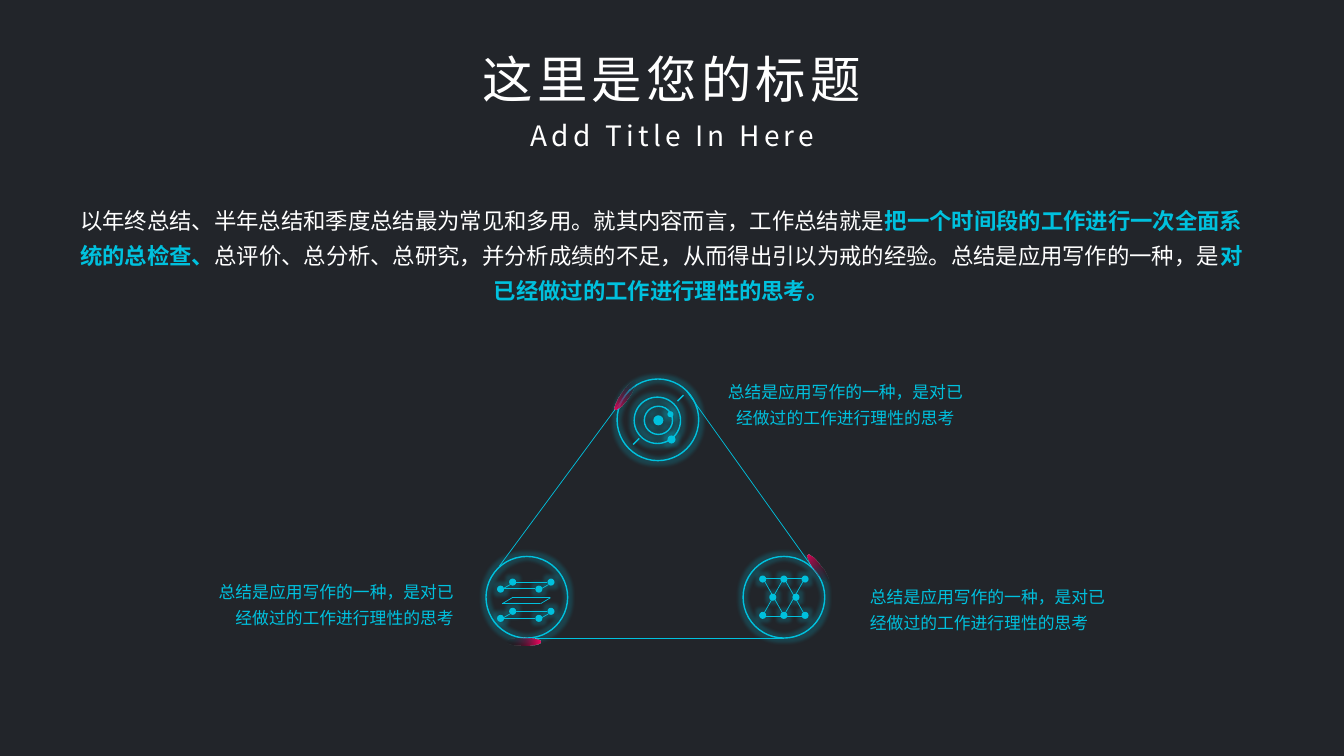
"""Build a dark title slide with three linked line icons and captions."""
from lxml import etree
from pptx import Presentation
from pptx.dml.color import RGBColor
from pptx.enum import shapes, text
from pptx.oxml import parse_xml
from pptx.oxml.ns import nsdecls, qn
from pptx.util import Inches, Pt

COLORS = {"background": "22252A", "white": "FFFFFF", "cyan": "00C1DE", "pink": "FA0462"}
FONT = "Noto Sans CJK SC"
CENTER, LEFT, RIGHT = text.PP_ALIGN.CENTER, text.PP_ALIGN.LEFT, text.PP_ALIGN.RIGHT


def write_text(box, position, runs, size, align, line_spacing=1.0, tracking=0):
    """Place a text shape and fill it with (wording, colour, bold) runs."""
    box.left, box.top, box.width, box.height = map(Inches, position)
    frame = box.text_frame
    frame.word_wrap = True
    frame.auto_size = text.MSO_AUTO_SIZE.SHAPE_TO_FIT_TEXT
    frame.vertical_anchor = text.MSO_ANCHOR.TOP
    paragraph = frame.paragraphs[0]
    paragraph.alignment = align
    paragraph.line_spacing = line_spacing
    paragraph.space_before = Pt(0)
    for wording, color, bold in runs:
        run = paragraph.add_run()
        run.text = wording
        run.font.size = Pt(size)
        run.font.bold = bold
        run.font.name = FONT
        run.font.color.rgb = RGBColor.from_string(COLORS[color])
        properties = run._r.get_or_add_rPr()
        etree.SubElement(properties, qn("a:ea")).set("typeface", FONT)
        if tracking:
            properties.set("spc", str(tracking * 100))


def draw_icon(container, rings=(), dots=(), lines=(), line_width=0.5):
    """Draw lines, outlined rings and filled dots; circles are (left, top, size)."""
    for x1, y1, x2, y2 in lines:
        line = container.add_connector(
            shapes.MSO_CONNECTOR.STRAIGHT, Inches(x1), Inches(y1), Inches(x2), Inches(y2))
        line.line.color.rgb = RGBColor.from_string(COLORS["cyan"])
        line.line.width = Pt(line_width)
        etree.SubElement(line._element.spPr, qn("a:effectLst"))
    for circles, filled in ((dots, True), (rings, False)):
        for left, top, size in circles:
            circle = container.add_shape(
                shapes.MSO_SHAPE.OVAL, Inches(left), Inches(top), Inches(size), Inches(size))
            circle.shadow.inherit = False
            if filled:
                circle.fill.solid()
                circle.fill.fore_color.rgb = RGBColor.from_string(COLORS["cyan"])
                circle.line.fill.background()
            else:
                circle.fill.background()
                circle.line.color.rgb = RGBColor.from_string(COLORS["cyan"])
                circle.line.width = Pt(1)
            circle._element.spPr.find(qn("a:effectLst")).append(parse_xml(
                f'<a:glow {nsdecls("a")} rad="63500"><a:srgbClr val="{COLORS["cyan"]}">'
                '<a:alpha val="20000"/></a:srgbClr></a:glow>'))


presentation = Presentation()
presentation.slide_width, presentation.slide_height = Inches(13.33), Inches(7.5)
slide = presentation.slides.add_slide(presentation.slide_layouts[5])
slide.background.fill.solid()
slide.background.fill.fore_color.rgb = RGBColor.from_string(COLORS["background"])

write_text(slide.shapes.title, (3.76, 0.43, 5.81, 0.71),
           [("这里是您的标题", "white", False)], 36, CENTER, tracking=3)
subtitle = slide.shapes.add_textbox(0, 0, 0, 0)
write_text(subtitle, (4.82, 1.13, 3.7, 0.44),
           [("Add Title In Here", "white", False)], 20, CENTER, tracking=3)

orbit_icon = slide.shapes.add_group_shape()
draw_icon(orbit_icon.shapes,
          rings=[(6.39, 4.03, 0.28), (6.29, 3.94, 0.46), (6.12, 3.76, 0.81)],
          dots=[(6.48, 4.12, 0.1), (6.62, 4.08, 0.06), (6.62, 4.32, 0.08)],
          lines=[(6.78, 3.92, 6.72, 3.98), (6.34, 4.35, 6.28, 4.41)],
          line_width=1)

DOT = 0.07
layer_dots = []
layer_lines = [(5.08, 5.93, 5.46, 5.93), (4.98, 5.99, 5.36, 5.99)]
for column in (0, 0.38):
    layer_lines.append((5.08 + column, 5.93, 4.98 + column, 5.99))
for drop in (0, 0.29):
    layer_lines.append((5.12, 5.78 + drop, 5.43, 5.78 + drop))
    layer_lines.append((4.99, 5.84 + drop, 5.31, 5.84 + drop))
    for column in (0, 0.38):
        layer_dots.append((5.05 + column, 5.74 + drop, DOT))
        layer_dots.append((4.93 + column, 5.81 + drop, DOT))
        layer_lines.append((5.06 + column, 5.8 + drop, 4.99 + column, 5.84 + drop))
layers_icon = slide.shapes.add_group_shape()
draw_icon(layers_icon.shapes, [(4.82, 5.52, 0.81)], layer_dots, layer_lines)

lattice_dots = [(7.53 + 0.21 * column, top, DOT) for top in (5.71, 6.07) for column in range(3)]
lattice_dots += [(left, 5.89, DOT) for left in (7.63, 7.86)]
lattice_lines = [(7.6, y, 7.95, y) for y in (5.74, 6.11)]
for left in (7.58, 7.79):
    lattice_lines.append((left, 5.76, left + 0.18, 6.08))
    lattice_lines.append((left + 0.18, 5.76, left, 6.08))
lattice_icon = slide.shapes.add_group_shape()
draw_icon(lattice_icon.shapes, [(7.37, 5.52, 0.81)], lattice_dots, lattice_lines)

triangle_sides = [(6.25, 3.86, 4.95, 5.62), (5.31, 6.33, 7.78, 6.33), (6.81, 3.88, 8.08, 5.66)]
draw_icon(slide.shapes, lines=triangle_sides)

for left, top, rotation in ((6.16, 3.75, 215), (5.15, 6.19, 90), (8.07, 5.47, 324.1)):
    streak = slide.shapes.add_shape(
        shapes.MSO_SHAPE.OVAL, Inches(left), Inches(top), Inches(0.08), Inches(0.34))
    streak.rotation = rotation
    streak.shadow.inherit = False
    streak.line.fill.background()
    streak._element.spPr.find(qn("a:prstGeom")).addnext(parse_xml(
        f'<a:gradFill {nsdecls("a")} rotWithShape="1"><a:gsLst>'
        '<a:gs pos="0"><a:srgbClr val="000000"><a:alpha val="0"/></a:srgbClr></a:gs>'
        f'<a:gs pos="100000"><a:srgbClr val="{COLORS["pink"]}"/></a:gs>'
        '</a:gsLst><a:lin ang="16200000" scaled="0"/></a:gradFill>'))

summary = [
    ("以年终总结、半年总结和季度总结最为常见和多用。就其内容而言，工作总结就是", "white", False),
    ("把一个时间段的工作进行一次全面系统的总检查、", "cyan", True),
    ("总评价、总分析、总研究，并分析成绩的不足，从而得出引以为戒的经验。总结是应用写作的一种，是",
     "white", False),
    ("对已经做过的工作进行理性的思考。", "cyan", True),
]
caption = [("总结是应用写作的一种，是对已经做过的工作进行理性的思考", "cyan", False)]
for position, runs, size, align in (
    ((0.6, 1.93, 11.92, 1.15), summary, 16, CENTER),
    ((1.99, 5.66, 2.61, 0.6), caption, 12, RIGHT),
    ((8.53, 5.71, 2.61, 0.6), caption, 12, LEFT),
    ((7.08, 3.68, 2.61, 0.6), caption, 12, CENTER),
):
    write_text(slide.shapes.add_textbox(0, 0, 0, 0), position, runs, size, align, 1.3)

presentation.save("out.pptx")
